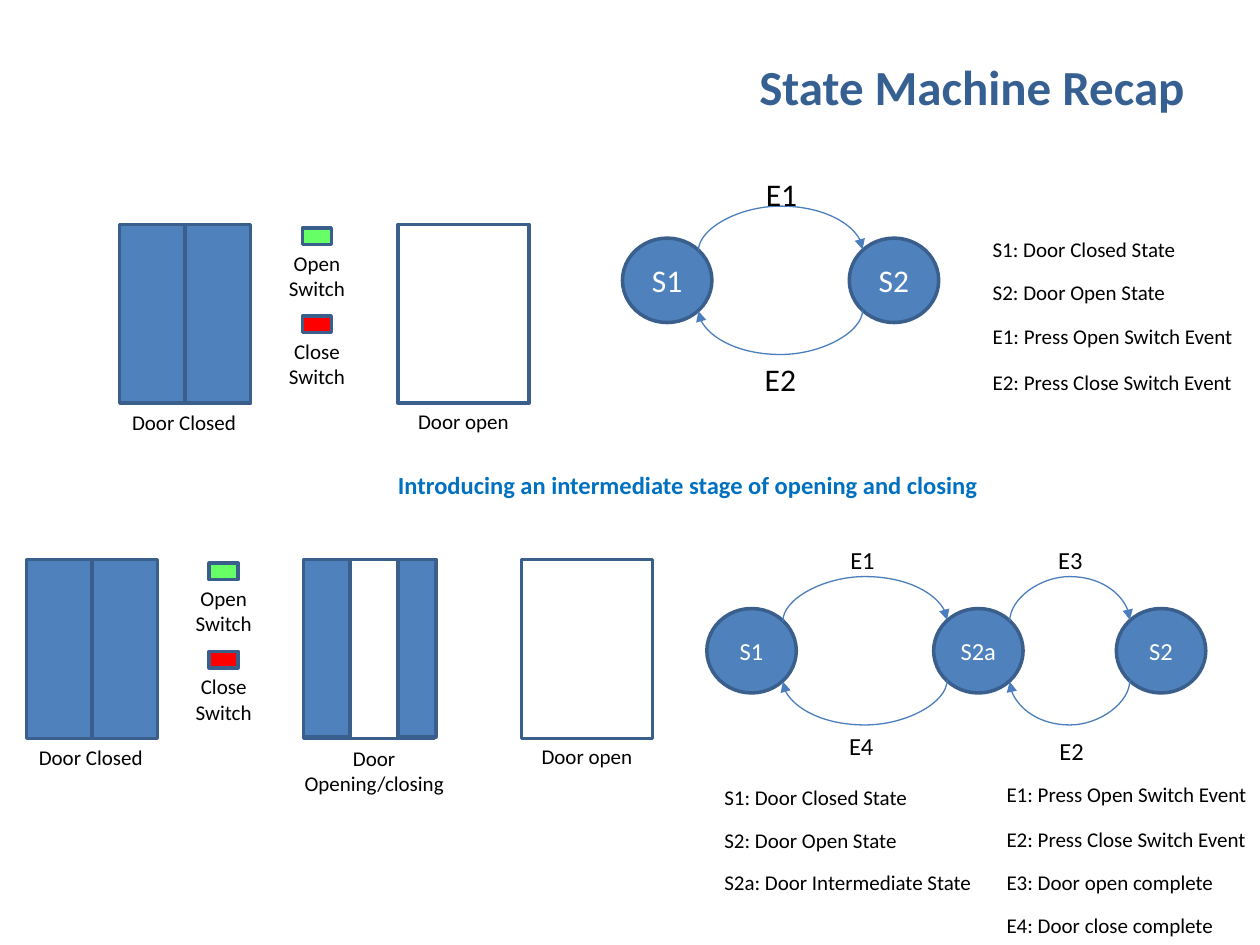
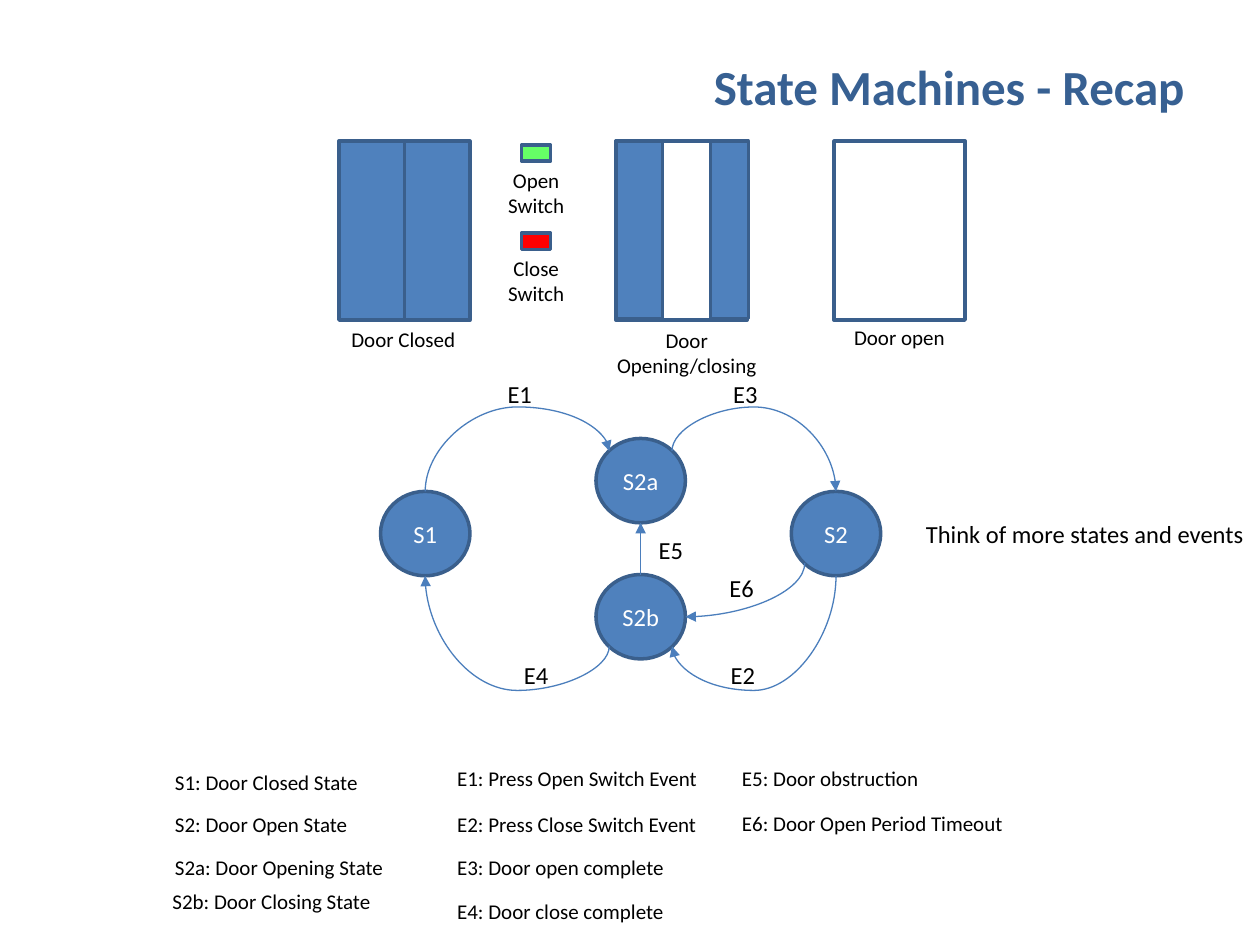
import lxml.etree
import pptx
import pptx.dml.color
import pptx.enum.shapes
import pptx.enum.text
import pptx.oxml.ns
import pptx.util

RGB = pptx.dml.color.RGBColor
SHAPE = pptx.enum.shapes.MSO_SHAPE
CONNECTOR = pptx.enum.shapes.MSO_CONNECTOR
ALIGN = pptx.enum.text.PP_ALIGN
ANCHOR = pptx.enum.text.MSO_ANCHOR
qn = pptx.oxml.ns.qn

TITLE = RGB(0x37, 0x60, 0x92)
ACCENT = RGB(0x00, 0x70, 0xC0)
FILL = RGB(0x4F, 0x81, 0xBD)
EDGE = RGB(0x3A, 0x5F, 0x8C)
ARROW = RGB(0x4B, 0x7E, 0xBC)
GREEN = RGB(0x66, 0xFF, 0x66)
RED = RGB(0xFF, 0x00, 0x00)
BLACK = RGB(0, 0, 0)
WHITE = RGB(0xFF, 0xFF, 0xFF)

# The grid has 100 columns and 75 rows of square cells
COLUMNS, ROWS = 100, 75
CELL = pptx.util.Inches(0.1)
DOOR_W, DOOR_H = 10.4, 14.2
STATE_W, STATE_H = 7.1, 6.7
BULGE = 3.5

# Connection sites of an ellipse: index, share of width, share of height
SITES = {"top": (0, .5, 0), "top left": (1, .15, .15),
         "bottom left": (3, .15, .85), "bottom": (4, .5, 1),
         "bottom right": (5, .85, .85), "right": (6, 1, .5),
         "top right": (7, .85, .15)}

# Legend entries with their widths
S1 = ("S1: Door Closed State", 16.7)
S2 = ("S2: Door Open State", 15.9)
S2A_MIDDLE = ("S2a: Door Intermediate State", 21.8)
S2A_OPENING = ("S2a: Door Opening State", 18.7)
S2B = ("S2b: Door Closing State", 17.9)
E1 = ("E1: Press Open Switch Event", 21.7)
E2 = ("E2: Press Close Switch Event", 21.6)
E3 = ("E3: Door open complete", 18.6)
E4 = ("E4: Door close complete", 19)
E5 = ("E5: Door obstruction", 16.6)
E6 = ("E6: Door Open Period Timeout", 23.4)


def cells(*values):
    return [round(v * CELL) for v in values]


def write(tf, text, size=12, color=BLACK, bold=False, align=ALIGN.LEFT):
    """Fill a text frame, one paragraph for each line of text."""
    for i, line in enumerate(text.split("\n")):
        p = tf.add_paragraph() if i else tf.paragraphs[0]
        p.alignment = align
        r = p.add_run()
        r.text = line
        r.font.name = "Calibri"
        r.font.size = pptx.util.Pt(size)
        r.font.bold = bold
        r.font.color.rgb = color


class Deck:
    def __init__(self):
        self.prs = pptx.Presentation()
        self.prs.slide_width, self.prs.slide_height = cells(COLUMNS, ROWS)
        self.s = None

    def slide(self, title):
        self.s = self.prs.slides.add_slide(self.prs.slide_layouts[5])
        sp = self.s.shapes.title
        sp.left, sp.top, sp.width, sp.height = cells(16.1, 3.8, 78.9, 6.1)
        sp.text_frame.vertical_anchor = ANCHOR.MIDDLE
        write(sp.text_frame, title, size=28, color=TITLE, bold=True, align=ALIGN.RIGHT)

    def label(self, x, y, w, text, h=3, **style):
        tf = self.s.shapes.add_textbox(*cells(x, y, w, h)).text_frame
        tf.word_wrap = False
        tf.auto_size = pptx.enum.text.MSO_AUTO_SIZE.SHAPE_TO_FIT_TEXT
        write(tf, text, **style)

    def shape(self, kind, x, y, w, h, fill=FILL):
        sp = self.s.shapes.add_shape(kind, *cells(x, y, w, h))
        sp.shadow.inherit = False
        if fill is None:
            sp.fill.background()
        else:
            sp.fill.solid()
            sp.fill.fore_color.rgb = fill
        sp.line.color.rgb = EDGE
        sp.line.width = pptx.util.Pt(2)
        return sp

    def legend(self, x, rows, entries):
        for y, (text, w) in zip(rows, entries):
            self.label(x, y, w, text)

    # Doors and switches
    def closed_door(self, x, y):
        for i in range(2):
            self.shape(SHAPE.RECTANGLE, x + i * DOOR_W / 2, y, DOOR_W / 2, DOOR_H)
        self.label(x, y + DOOR_H, DOOR_W, "Door Closed")

    def open_door(self, x, y):
        self.shape(SHAPE.RECTANGLE, x, y, DOOR_W, DOOR_H, fill=None)
        self.label(x + .6, y + 14.1, 9.3, "Door open")

    def moving_door(self, x, y):
        self.shape(SHAPE.RECTANGLE, x, y, DOOR_W, DOOR_H, fill=None)
        for dx, w in ((0, 3.7), (7.5, 3)):
            self.shape(SHAPE.RECTANGLE, x + dx, y, w, 14.1)
        self.label(x - 1, y + 14.3, 13.2, "Door\nOpening/closing", h=5, align=ALIGN.CENTER)

    def switches(self, x, y):
        for i, (name, color) in enumerate((("Open", GREEN), ("Close", RED))):
            top = y + .3 + 7 * i
            self.shape(SHAPE.ACTION_BUTTON_CUSTOM, x, top, 2.3, 1.3, fill=color)
            self.label(x - 2.1, top + 1.3, 6.5, name + "\nSwitch", h=5, align=ALIGN.CENTER)

    def doors(self, x, y, moving=True):
        self.closed_door(x, y)
        self.switches(x + 14.5, y)
        if moving:
            self.moving_door(x + 22, y)
        self.open_door(x + (39.3 if moving else 22.1), y)

    # State machine
    def state(self, x, y, name, size=14):
        sp = self.shape(SHAPE.OVAL, x, y, STATE_W, STATE_H)
        sp.text_frame.word_wrap = False
        sp.text_frame.vertical_anchor = ANCHOR.MIDDLE
        write(sp.text_frame, name, size=size, color=WHITE, align=ALIGN.CENTER)
        return sp

    def event(self, x, y, name, size=14):
        self.label(x, y, 4.5 if size > 14 else 4, name, h=4 if size > 14 else 3.4, size=size)

    def arrow(self, start, start_site, end, end_site, bulge=0, straight=False):
        """Join two states; bulge is -1 for an arc above and 1 for one below."""
        ends = []
        for sp, site in ((start, start_site), (end, end_site)):
            i, fx, fy = SITES[site]
            ends.append((i, round(sp.left + fx * sp.width), round(sp.top + fy * sp.height)))
        (i1, x1, y1), (i2, x2, y2) = ends
        if straight:
            c = self.s.shapes.add_connector(CONNECTOR.STRAIGHT, x1, y1, x2, y2)
        else:
            # Curves leave vertically: the preset is turned by 90 degrees
            if abs(y2 - y1) < CELL // 10:
                y2 = y1 + bulge * CELL // 10
            w, h = abs(y2 - y1), abs(x2 - x1)
            left, top = (x1 + x2 - w) // 2, (y1 + y2 - h) // 2
            c = self.s.shapes.add_connector(CONNECTOR.CURVE, left, top, left + w, top + h)
            xfrm = c._element.spPr.find(qn("a:xfrm"))
            xfrm.set("rot", "5400000")
            if y2 < y1:
                xfrm.set("flipH", "1")
            if x2 > x1:
                xfrm.set("flipV", "1")
            geom = c._element.spPr.find(qn("a:prstGeom"))
            if bulge:
                outer = min(y1, y2) if bulge < 0 else max(y1, y2)
                adj = (outer + bulge * BULGE * CELL - y1) / (y2 - y1)
                lxml.etree.SubElement(geom.find(qn("a:avLst")), qn("a:gd"), name="adj1",
                                      fmla=f"val {round(adj * 100000)}")
            else:
                geom.set("prst", "curvedConnector2")
        # Glue the ends to the states
        joins = c._element.nvCxnSpPr.cNvCxnSpPr
        for tag, sp, i in (("a:stCxn", start, i1), ("a:endCxn", end, i2)):
            lxml.etree.SubElement(joins, qn(tag), id=str(sp.shape_id), idx=str(i))
        c.line.color.rgb = ARROW
        c.line.width = pptx.util.Pt(.75)
        lxml.etree.SubElement(c.line._get_or_add_ln(), qn("a:tailEnd"), type="triangle")
        lxml.etree.SubElement(c._element.spPr, qn("a:effectLst"))

    def loop(self, a, b):
        """Arc over from a to b and back below."""
        self.arrow(a, "top right", b, "top left", bulge=-1)
        self.arrow(b, "bottom left", a, "bottom right", bulge=1)


deck = Deck()

# Slide 1: two states, then an intermediate one
deck.slide("State Machine Recap")
deck.doors(9.5, 17.8, moving=False)
closed = deck.state(49.4, 18.9, "S1", size=18)
opened = deck.state(67.4, 18.9, "S2", size=18)
deck.loop(closed, opened)
deck.event(59.8, 13.4, "E1", size=18)
deck.event(59.7, 28.1, "E2", size=18)
deck.legend(77.8, (18.3, 21.7, 25.2, 28.8), (S1, S2, E1, E2))

deck.label(30.6, 36.8, 49.4, "Introducing an intermediate stage of opening and closing",
           h=3.4, size=14, color=ACCENT, bold=True)

deck.doors(2.1, 44.4)
closed, middle, opened = [deck.state(x, 48.3, name) for x, name in
                          ((56.1, "S1"), (74.1, "S2a"), (88.6, "S2"))]
deck.loop(closed, middle)
deck.loop(middle, opened)
for x, y, name in ((66.5, 42.8, "E1"), (66.4, 57.5, "E4"),
                   (83, 42.8, "E3"), (83.1, 57.9, "E2")):
    deck.event(x, y, name)
deck.legend(56.5, (61.8, 65.2, 68.5), (S1, S2, S2A_MIDDLE))
deck.legend(78.9, (61.5, 65.1, 68.5, 71.9), (E1, E2, E3, E4))

# Slide 2: separate opening and closing states
deck.slide("State Machines - Recap")
deck.doors(26.9, 11.2)
closed = deck.state(30.2, 39, "S1")
opening = deck.state(47.3, 34.8, "S2a")
opened = deck.state(62.8, 39, "S2")
closing = deck.state(47.3, 45.6, "S2b")
deck.arrow(closed, "top", opening, "top left", bulge=-1)
deck.arrow(opening, "top right", opened, "top", bulge=-1)
deck.arrow(opened, "bottom", closing, "bottom right", bulge=1)
deck.arrow(closing, "bottom left", closed, "bottom", bulge=1)
deck.arrow(closing, "top", opening, "bottom", straight=True)
deck.arrow(opened, "bottom left", closing, "right")
for x, y, name in ((39.3, 29.6, "E1"), (57.2, 29.6, "E3"), (40.6, 51.9, "E4"),
                   (57, 51.9, "E2"), (51.3, 42, "E5"), (56.9, 45, "E6")):
    deck.event(x, y, name)
deck.label(72.5, 40.7, 27.5, "Think of more states and events", h=3.4, size=14)
deck.legend(12.9, (60.6, 63.9, 67.3), (S1, S2, S2A_OPENING))
deck.legend(12.7, (70,), (S2B,))
deck.legend(35.3, (60.3, 63.9, 67.3, 70.8), (E1, E2, E3, E4))
deck.legend(57.9, (60.3, 63.8), (E5, E6))

deck.prs.save("out.pptx")
